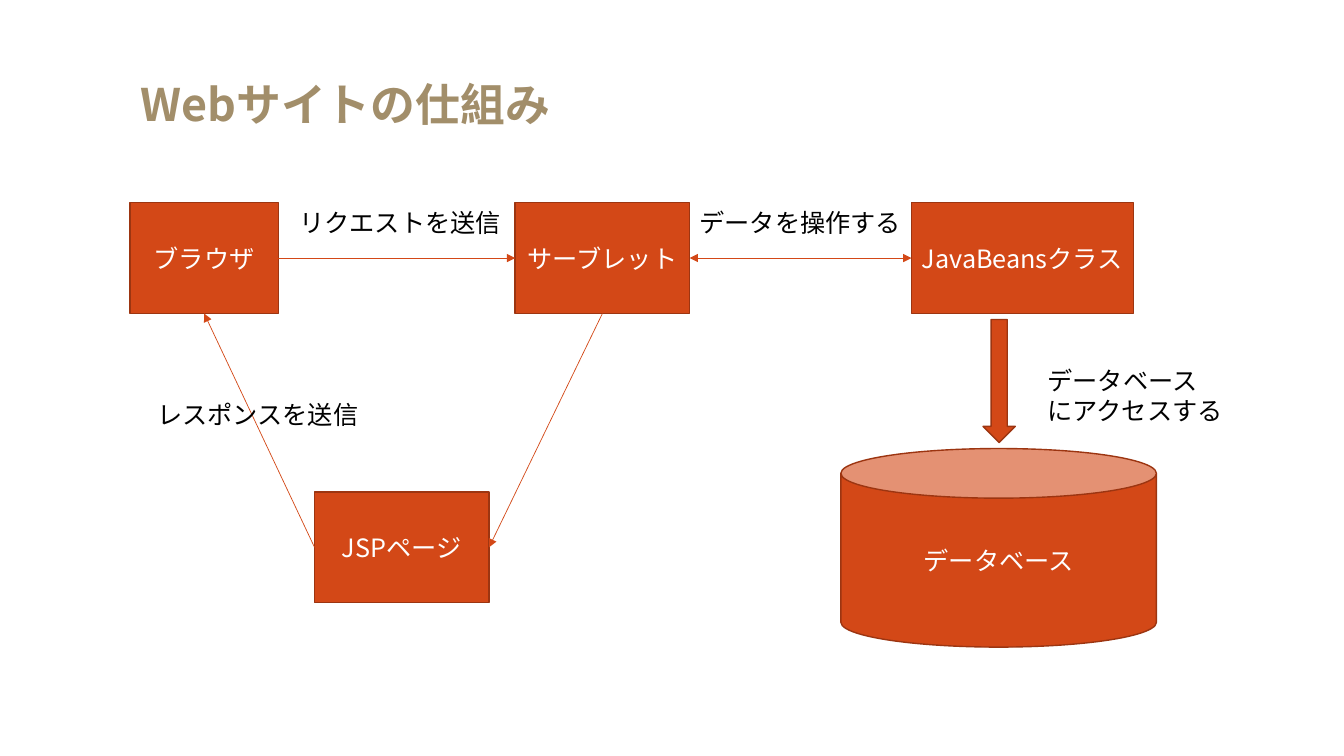
from lxml.etree import SubElement
from pptx import Presentation
from pptx.dml.color import RGBColor
from pptx.enum.shapes import MSO_CONNECTOR as Connector, MSO_SHAPE as Shape
from pptx.enum.text import MSO_ANCHOR as Anchor, PP_ALIGN as Align
from pptx.oxml.ns import qn
from pptx.util import Inches, Pt

FONT = "Noto Sans CJK SC"
ORANGE = RGBColor(0xD3, 0x48, 0x17)
RUST = RGBColor(0x9C, 0x35, 0x11)
TAN = RGBColor(0xA2, 0x8E, 0x6A)
WHITE = RGBColor(0xFF, 0xFF, 0xFF)
BLACK = RGBColor(0, 0, 0)

# Content: places are left, top, width, height in inches
TITLE = ("Webサイトの仕組み", (1.29, 0.71, 4.38, 0.64))
TOP_ROW, BOX_HEIGHT = 2.01, 1.1
NODES = {
    "database": (Shape.CAN, "データベース", (8.34, 4.45, 3.13, 1.97)),
    "browser": (Shape.RECTANGLE, "ブラウザ", (1.29, TOP_ROW, 1.47, BOX_HEIGHT)),
    "servlet": (Shape.RECTANGLE, "サーブレット", (5.11, TOP_ROW, 1.73, BOX_HEIGHT)),
    "jsp": (Shape.RECTANGLE, "JSPページ", (3.12, 4.88, 1.73, BOX_HEIGHT)),
    "beans": (Shape.RECTANGLE, "JavaBeansクラス", (9.04, TOP_ROW, 2.2, BOX_HEIGHT)),
    "access": (Shape.DOWN_ARROW, "", (9.75, 3.17, 0.32, 1.22)),
}
LABELS = [
    ("データベース\nにアクセスする", (10.29, 3.57, 1.95, 0.71)),
    ("リクエストを送信", (2.87, TOP_ROW, 2.2, 0.4)),
    ("データを操作する", (6.84, TOP_ROW, 2.2, 0.4)),
    ("レスポンスを送信", (1.46, 3.91, 2.22, 0.4)),
]
TOP, LEFT, BOTTOM, RIGHT = range(4)
# Start node and side, end node and side, arrowhead ends
LINKS = [
    ("servlet", RIGHT, "beans", LEFT, ("headEnd", "tailEnd")),
    ("browser", RIGHT, "servlet", LEFT, ("tailEnd",)),
    ("servlet", BOTTOM, "jsp", RIGHT, ("tailEnd",)),
    ("jsp", LEFT, "browser", BOTTOM, ("tailEnd",)),
]


def write(frame, text, size, color, align, anchor, bold=False):
    frame.text = text
    frame.vertical_anchor = anchor
    for para in frame.paragraphs:
        para.alignment = align
        for span in para.runs:
            font = span.font
            font.size, font.bold = Pt(size), bold
            font.color.rgb = color
            font.name = FONT
            SubElement(font._element, qn("a:ea"), typeface=FONT)


deck = Presentation()
deck.slide_width, deck.slide_height = Inches(13.33), Inches(7.5)
page = deck.slides.add_slide(deck.slide_layouts[5])

# Title
text, place = TITLE
title = page.shapes.title
title.left, title.top, title.width, title.height = map(Inches, place)
write(title.text_frame, text, 32, TAN, Align.LEFT, Anchor.TOP, bold=True)
title.text_frame.word_wrap = False

# Boxes, database and block arrow
shapes = {}
for name, (kind, text, place) in NODES.items():
    node = page.shapes.add_shape(kind, *map(Inches, place))
    node.shadow.inherit = False
    node.fill.solid()
    node.fill.fore_color.rgb = ORANGE
    node.line.color.rgb = RUST
    node.line.width = Pt(1)
    if text:
        write(node.text_frame, text, 18, WHITE, Align.CENTER, Anchor.MIDDLE)
    shapes[name] = node

# Thin arrows
for start, start_side, end, end_side, arrowheads in LINKS:
    link = page.shapes.add_connector(Connector.STRAIGHT, 0, 0, 0, 0)
    link.begin_connect(shapes[start], start_side)
    link.end_connect(shapes[end], end_side)
    link.line.color.rgb = ORANGE
    link.line.width = Pt(0.5)
    outline = link.line._get_or_add_ln()
    for arrowhead in arrowheads:
        SubElement(outline, qn("a:" + arrowhead), type="triangle")
    SubElement(link._element.spPr, qn("a:effectLst"))

# Labels
for text, place in LABELS:
    box = page.shapes.add_textbox(*map(Inches, place))
    box.text_frame.word_wrap = False
    write(box.text_frame, text, 18, BLACK, Align.LEFT, Anchor.TOP)

deck.save("out.pptx")
